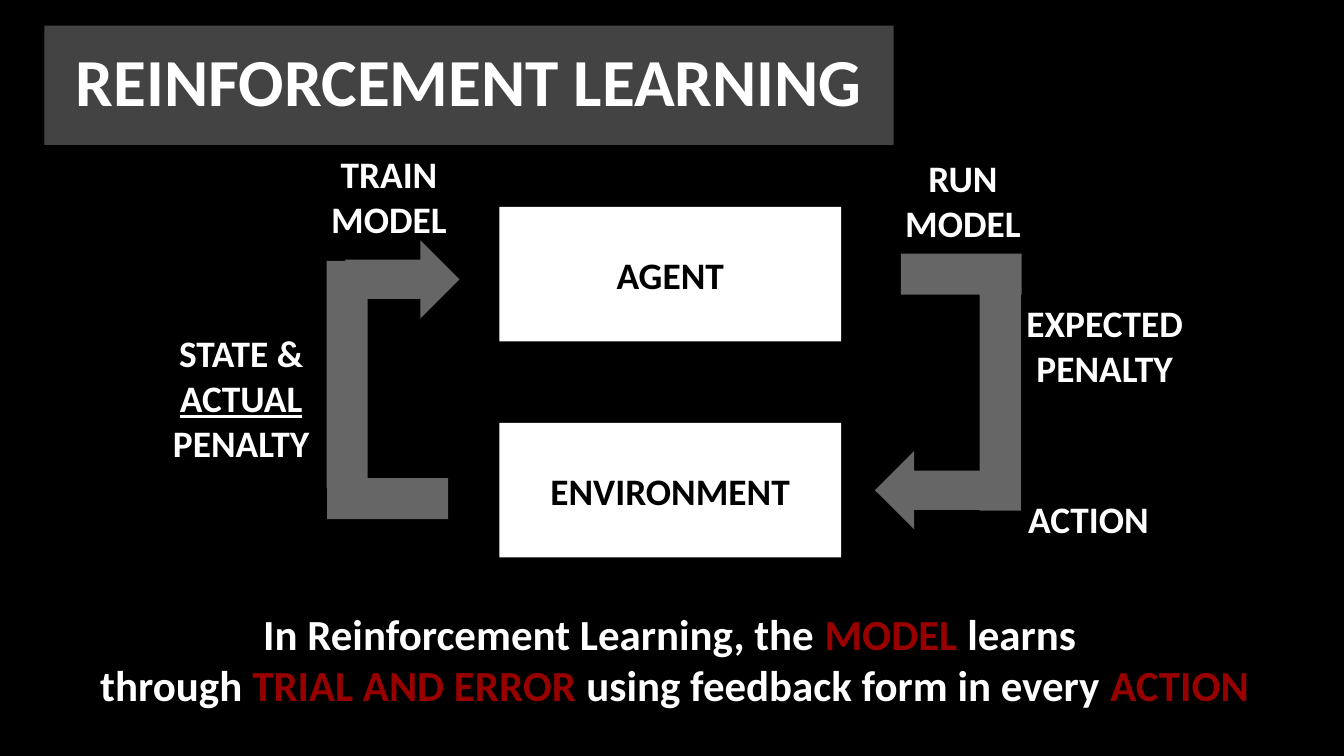
from pptx import Presentation
from pptx.dml.color import RGBColor
from pptx.enum.shapes import MSO_SHAPE
from pptx.enum.text import MSO_ANCHOR, PP_ALIGN
from pptx.util import Pt

RECT, ARROW = MSO_SHAPE.RECTANGLE, MSO_SHAPE.RIGHT_ARROW
TOP, MIDDLE = MSO_ANCHOR.TOP, MSO_ANCHOR.MIDDLE
CENTER = PP_ALIGN.CENTER

THEME = {
    "font": "Calibri",
    "black": RGBColor(0x00, 0x00, 0x00),
    "white": RGBColor(0xFF, 0xFF, 0xFF),
    "banner": RGBColor(0x43, 0x43, 0x43),
    "loop": RGBColor(0x66, 0x66, 0x66),
    "accent": RGBColor(0x98, 0x00, 0x00),
    "title_size": 36,
    "summary_size": 23,
    "label_size": 20,
}

TITLE = "REINFORCEMENT LEARNING"
TITLE_BOX = (23.8, 13.7, 455, 64)

NODES = ["AGENT", "ENVIRONMENT"]
NODE_LEFT, NODE_TOP, NODE_W, NODE_H, NODE_STEP = 267.6, 110.9, 183, 72, 115.7

LOOP_PARTS = [
    (ARROW, (468.7, 241.6, 61.2, 42), 180),
    (RECT, (524.9, 152.6, 22, 121), 0),
    (RECT, (504, 114.5, 22, 64.8), 270),
    (ARROW, (185, 128.7, 61.2, 42), 0),
    (RECT, (175, 139.7, 22, 121.7), 180),
    (RECT, (196.6, 234.7, 22, 64.8), 90),
]

LABEL_H = 50.4
LABELS = [
    ((80.6, 187.9, 97.2), [[("STATE &", None)], [("ACTUAL", "underline")], [("PENALTY", None)]]),
    ((159.8, 79.9, 97.2), [[("TRAIN MODEL", None)]]),
    ((467.3, 82.1, 97.2), [[("RUN", None)], [("MODEL", None)]]),
    ((535.7, 159.8, 112.3), [[("EXPECTED PENALTY", None)]]),
    ((527, 252.7, 112.3), [[("ACTION", None)]]),
]

SUMMARY_BOX = (17.3, 318.2, 688.3, 65.5)
SUMMARY = [
    [("In Reinforcement Learning, the ", None), ("MODEL", "accent"), (" learns ", None)],
    [("through ", None), ("TRIAL AND ERROR", "accent"),
     (" using feedback form in every ", None), ("ACTION", "accent")],
]


def write(sp, lines, size, color="white", anchor=MIDDLE):
    tf = sp.text_frame
    tf.word_wrap = True
    tf.vertical_anchor = anchor
    tf.margin_left = tf.margin_right = tf.margin_top = tf.margin_bottom = Pt(7.2)
    for i, line in enumerate(lines):
        p = tf.paragraphs[0] if i == 0 else tf.add_paragraph()
        p.alignment = CENTER
        p.font.name = THEME["font"]
        p.font.size = Pt(THEME[size])
        p.font.bold = True
        for text, style in line:
            r = p.add_run()
            r.text = text
            r.font.color.rgb = THEME["accent" if style == "accent" else color]
            if style == "underline":
                r.font.underline = True


def add_shape(s, kind, box, fill, rotation=0):
    sp = s.shapes.add_shape(kind, *map(Pt, box))
    sp.shadow.inherit = False
    sp.fill.solid()
    sp.fill.fore_color.rgb = THEME[fill]
    sp.line.fill.background()
    sp.rotation = rotation
    return sp


def main():
    prs = Presentation()
    prs.slide_width, prs.slide_height = Pt(720), Pt(405)
    s = prs.slides.add_slide(prs.slide_layouts[6])
    s.background.fill.solid()
    s.background.fill.fore_color.rgb = THEME["black"]

    banner = add_shape(s, RECT, TITLE_BOX, "banner")
    write(banner, [[(TITLE, None)]], "title_size", anchor=TOP)

    for i, name in enumerate(NODES):
        box = (NODE_LEFT, NODE_TOP + i * NODE_STEP, NODE_W, NODE_H)
        node = add_shape(s, RECT, box, "white")
        write(node, [[(name, None)]], "label_size", color="black")

    for kind, box, rotation in LOOP_PARTS:
        add_shape(s, kind, box, "loop", rotation)

    for box, lines in LABELS:
        label = s.shapes.add_textbox(*map(Pt, (*box, LABEL_H)))
        write(label, lines, "label_size")

    summary = s.shapes.add_textbox(*map(Pt, SUMMARY_BOX))
    write(summary, SUMMARY, "summary_size", anchor=TOP)

    prs.save("out.pptx")


if __name__ == "__main__":
    main()
